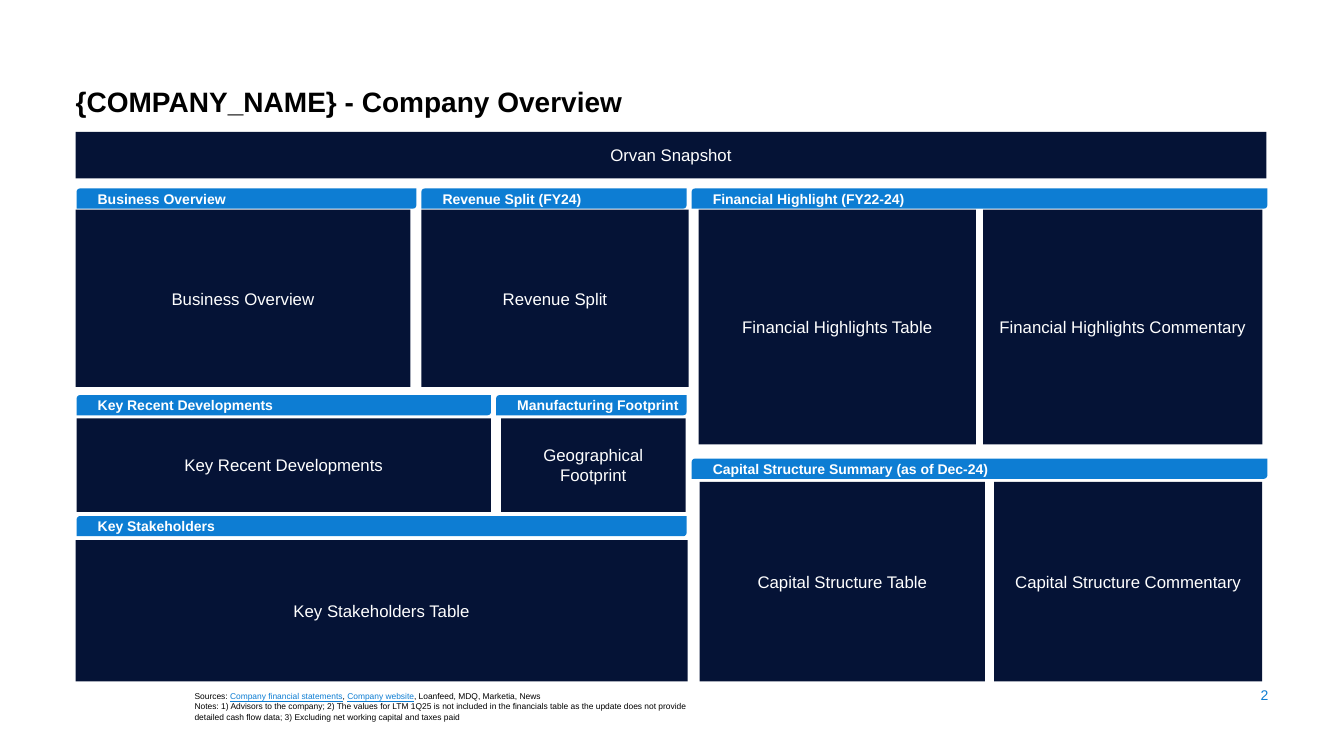
from pptx import Presentation
from pptx.dml.color import RGBColor
from pptx.enum.shapes import MSO_SHAPE
from pptx.enum.text import MSO_ANCHOR, PP_ALIGN
from pptx.util import Inches, Pt

WIDTH, HEIGHT = 13.33, 7.5
NAVY, BLUE, WHITE, BLACK = "051336", "0D7DD3", "FFFFFF", "000000"
FONT = "Arial"
GUTTER = 0.05
HEADER_HEIGHT = 0.2
COLUMNS = {"left": 0.76, "revenue": 4.18, "footprint": 4.92, "right": 6.86, "end": 12.62}
ROWS = {
    "top": (1.87, 2.08, 3.84),
    "middle": (3.92, 4.15, 5.08),
    "bottom": (5.12, 5.36, 6.76),
    "financial": (1.87, 2.08, 4.41),
    "capital": (4.55, 4.78, 6.76),
}
SECTIONS = [
    ("Business Overview", "top", "left", "revenue",
     [("Business Overview", 0.75, 4.07)]),
    ("Revenue Split (FY24)", "top", "revenue", "right",
     [("Revenue Split", 4.18, 6.83)]),
    ("Key Recent Developments", "middle", "left", "footprint",
     [("Key Recent Developments", 0.76, 4.87)]),
    ("Manufacturing Footprint", "middle", "footprint", "right",
     [("Geographical Footprint", 4.97, 6.8)]),
    ("Key Stakeholders", "bottom", "left", "right",
     [("Key Stakeholders Table", 0.75, 6.82)]),
    ("Financial Highlight (FY22-24)", "financial", "right", "end",
     [("Financial Highlights Table", 6.93, 9.68),
      ("Financial Highlights Commentary", 9.75, 12.52)]),
    ("Capital Structure Summary (as of Dec-24)", "capital", "right", "end",
     [("Capital Structure Table", 6.94, 9.77),
      ("Capital Structure Commentary", 9.86, 12.52)]),
]
TITLE = [[("{COMPANY_NAME} - Company Overview", False)]]
NUMBER = [[("2", False)]]
FOOTNOTES = [
    [("Sources: ", False), ("Company financial statements", True), (", ", False),
     ("Company website", True), (", Loanfeed, MDQ, Marketia, News", False)],
    [("Notes: 1) Advisors to the company; 2) The values for LTM 1Q25 is not included in the "
      "financials table as the update does not provide detailed cash flow data; "
      "3) Excluding net working capital and taxes paid", False)],
]


def color(value):
    return RGBColor.from_string(value)


def style(font, size, value, bold=False):
    font.name = FONT
    font.size = Pt(size)
    font.bold = bold
    font.color.rgb = color(value)


def set_margins(frame, left, top, right, bottom):
    frame.margin_left, frame.margin_top = Inches(left), Inches(top)
    frame.margin_right, frame.margin_bottom = Inches(right), Inches(bottom)
    frame.word_wrap = True


def add_block(page, kind, text, left, top, right, bottom, fill, size, margins, align, bold):
    block = page.shapes.add_shape(
        kind, Inches(left), Inches(top), Inches(right - left), Inches(bottom - top))
    block.shadow.inherit = False
    block.fill.solid()
    block.fill.fore_color.rgb = color(fill)
    block.line.fill.background()
    frame = block.text_frame
    set_margins(frame, *margins)
    frame.vertical_anchor = MSO_ANCHOR.MIDDLE
    frame.text = text
    para = frame.paragraphs[0]
    para.alignment = align
    style(para.runs[0].font, size, WHITE, bold)


def add_header(page, text, left, top, right):
    add_block(page, MSO_SHAPE.ROUND_2_DIAG_RECTANGLE, text, left, top, right,
              top + HEADER_HEIGHT, BLUE, 10, (0.2, 0, 0, 0), PP_ALIGN.LEFT, True)


def add_panel(page, text, left, top, right, bottom):
    add_block(page, MSO_SHAPE.RECTANGLE, text, left, top, right, bottom,
              NAVY, 12, (0.1, 0.1, 0.1, 0.1), PP_ALIGN.CENTER, False)


def add_text(page, lines, left, top, width, height, size, value, bold=False):
    box = page.shapes.add_textbox(Inches(left), Inches(top), Inches(width), Inches(height))
    frame = box.text_frame
    set_margins(frame, 0, 0, 0, 0)
    for index, line in enumerate(lines):
        para = frame.add_paragraph() if index else frame.paragraphs[0]
        for text, linked in line:
            span = para.add_run()
            span.text = text
            style(span.font, size, BLUE if linked else value, bold)
            span.font.underline = linked
    return frame


def main():
    deck = Presentation()
    deck.slide_width, deck.slide_height = Inches(WIDTH), Inches(HEIGHT)
    page = deck.slides.add_slide(deck.slide_layouts[6])

    title = add_text(page, TITLE, 0.75, 0.88, 6.85, 0.3, 20, BLACK, True)
    title.paragraphs[0].line_spacing = 0.9
    add_panel(page, "Orvan Snapshot", 0.75, 1.31, 12.56, 1.77)

    for heading, row, start, end, panels in SECTIONS:
        header_top, panel_top, panel_bottom = ROWS[row]
        add_header(page, heading, COLUMNS[start], header_top, COLUMNS[end] - GUTTER)
        for text, left, right in panels:
            add_panel(page, text, left, panel_top, right, panel_bottom)

    add_text(page, FOOTNOTES, 1.93, 6.86, 4.98, 0.3, 6, BLACK)
    number = add_text(page, NUMBER, 12.15, 6.79, 0.43, 0.21, 10, BLUE)
    number.vertical_anchor = MSO_ANCHOR.MIDDLE
    number.paragraphs[0].alignment = PP_ALIGN.RIGHT
    deck.save("out.pptx")


if __name__ == "__main__":
    main()
